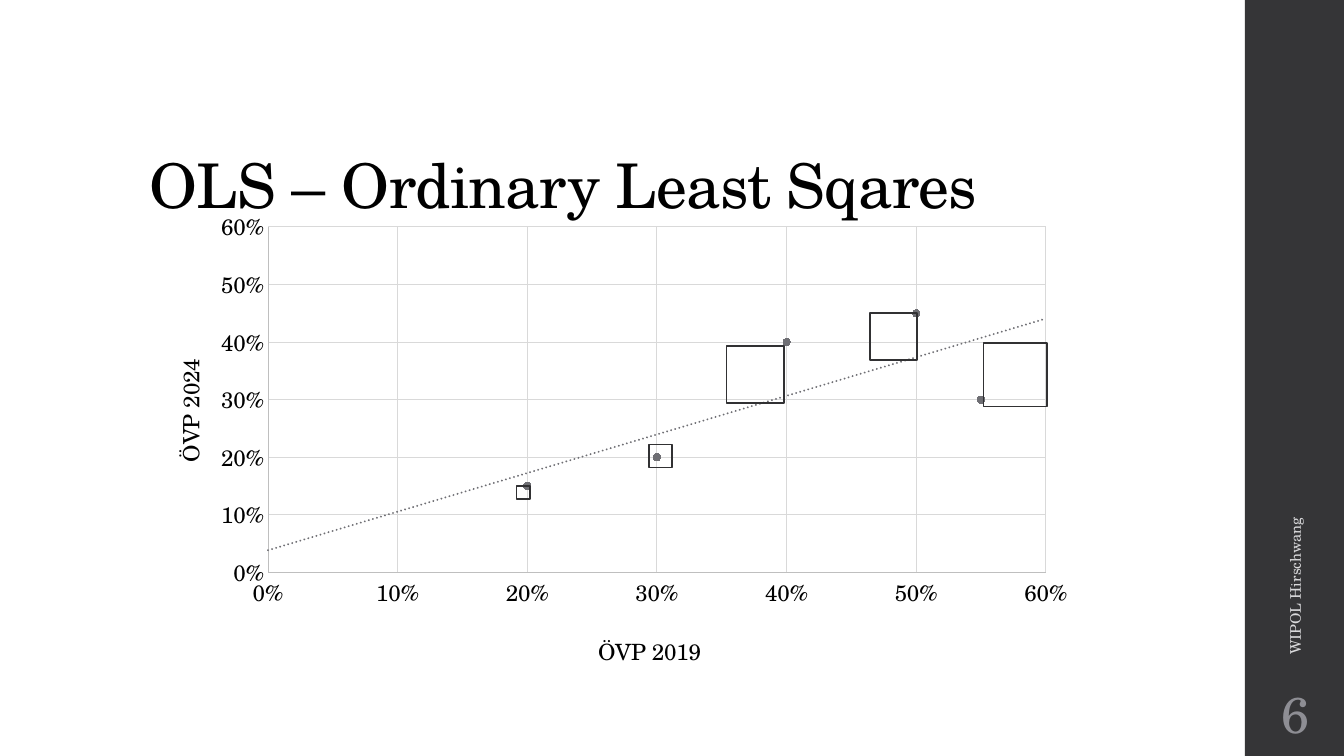
from dataclasses import dataclass

import lxml.etree
import pptx
import pptx.chart.data
import pptx.dml.color
import pptx.enum.chart
import pptx.enum.shapes
import pptx.enum.text
import pptx.oxml.ns
import pptx.util

Pt = pptx.util.Pt
qn = pptx.oxml.ns.qn
FONT = "TeX Gyre Schola"
GRAY = "6F6F74"


@dataclass
class Square:
    left: float
    top: float
    side: float


@dataclass
class Label:
    text: str
    left: float
    top: float
    width: float
    height: float
    size: float
    color: str
    align: str = "LEFT"
    anchor: str = "MIDDLE"
    rotation: float = 0
    line_spacing: float = 1.0
    tracking: int = 0  # hundredths of a point


@dataclass
class AxisStyle:
    title: str
    title_x: float
    title_y: float


RESULTS = [(0.3, 0.2), (0.5, 0.45), (0.2, 0.15), (0.55, 0.3), (0.4, 0.4)]
AXIS_END = 0.6
X_AXIS = AxisStyle("ÖVP 2019", 0.48, 0.89)
Y_AXIS = AxisStyle("ÖVP 2024", 0.03, 0.32)
SQUARES = [
    Square(369, 347, 9.5),
    Square(463.5, 317.5, 16.5),
    Square(519, 247, 41),
    Square(621.5, 223.5, 33.5),
    Square(702.5, 245, 45.5),
]
LABELS = [
    Label("OLS – Ordinary Least Sqares", 99.4, 28.8, 763.2, 133.2, 44, "000000",
          anchor="BOTTOM", line_spacing=0.9, tracking=-50),
    Label("WIPOL Hirschwang", 784, 319, 282.2, 28.8, 10.5, "D9D9DB", rotation=270),
    Label("6", 889.2, 486, 72, 46.8, 36, "8E8E94", align="CENTER"),
]


def rgb(color: str) -> pptx.dml.color.RGBColor:
    return pptx.dml.color.RGBColor.from_string(color)


def set_font(font, size: float, color: str) -> None:
    font.name = FONT
    font.size = Pt(size)
    font.bold = False
    font.color.rgb = rgb(color)


def set_line(line, color: str, width: float) -> None:
    line.color.rgb = rgb(color)
    line.width = Pt(width)


def add_rectangle(page, left: float, top: float, width: float, height: float):
    shape = page.shapes.add_shape(
        pptx.enum.shapes.MSO_SHAPE.RECTANGLE, Pt(left), Pt(top), Pt(width), Pt(height))
    shape.shadow.inherit = False
    return shape


def add_sidebar(page) -> None:
    sidebar = add_rectangle(page, 889.2, 0, 70.8, 540)
    sidebar.fill.solid()
    sidebar.fill.fore_color.rgb = rgb("353537")
    sidebar.line.fill.background()


def add_square(page, square: Square) -> None:
    shape = add_rectangle(page, square.left, square.top, square.side, square.side)
    shape.fill.background()
    set_line(shape.line, "313133", 1.1)


def add_label(page, label: Label) -> None:
    box = page.shapes.add_textbox(
        Pt(label.left), Pt(label.top), Pt(label.width), Pt(label.height))
    box.rotation = label.rotation
    frame = box.text_frame
    frame.word_wrap = True
    frame.vertical_anchor = getattr(pptx.enum.text.MSO_ANCHOR, label.anchor)
    para = frame.paragraphs[0]
    para.alignment = getattr(pptx.enum.text.PP_ALIGN, label.align)
    para.line_spacing = label.line_spacing
    set_font(para.font, label.size, label.color)
    span = para.add_run()
    span.text = label.text
    if label.tracking:
        span.font._element.set("spc", str(label.tracking))


def add_child(parent, tag: str, **attributes: str):
    child = lxml.etree.SubElement(parent, qn(tag))
    for name, value in attributes.items():
        child.set(name, value)
    return child


def place(element, index: int, **fractions: float) -> None:
    """Give a chart part a manual layout in fractions of the chart."""
    for old in element.findall(qn("c:layout")):
        element.remove(old)
    layout = element.makeelement(qn("c:layout"))
    element.insert(index, layout)
    manual = add_child(layout, "c:manualLayout")
    if "w" in fractions:
        add_child(manual, "c:layoutTarget", val="inner")
    add_child(manual, "c:xMode", val="edge")
    add_child(manual, "c:yMode", val="edge")
    for name, value in fractions.items():
        add_child(manual, f"c:{name}", val=str(value))


def style_axis(axis, style: AxisStyle) -> None:
    axis.minimum_scale = 0
    axis.maximum_scale = AXIS_END
    axis.major_unit = 0.1
    axis.major_tick_mark = pptx.enum.chart.XL_TICK_MARK.NONE
    axis.minor_tick_mark = pptx.enum.chart.XL_TICK_MARK.NONE
    axis.has_major_gridlines = True
    set_line(axis.major_gridlines.format.line, "D9D9D9", 0.75)
    set_line(axis.format.line, "BFBFBF", 0.75)
    axis.tick_labels.number_format = "0%"
    axis.tick_labels.number_format_is_linked = False
    set_font(axis.tick_labels.font, 16, "000000")
    para = axis.axis_title.text_frame.paragraphs[0]
    para.text = style.title
    set_font(para.font, 16, "000000")
    place(axis.axis_title._element, 1, x=style.title_x, y=style.title_y)


def add_trend(series) -> None:
    """Add a dotted linear trend line that spans the whole horizontal axis."""
    years = [x for x, _ in RESULTS]
    trend = series._element.makeelement(qn("c:trendline"))
    line = add_child(add_child(trend, "c:spPr"), "a:ln", w=str(Pt(1.5)), cap="rnd")
    add_child(add_child(line, "a:solidFill"), "a:srgbClr", val=GRAY)
    add_child(line, "a:prstDash", val="sysDot")
    add_child(trend, "c:trendlineType", val="linear")
    add_child(trend, "c:forward", val=str(round(AXIS_END - max(years), 2)))
    add_child(trend, "c:backward", val=str(min(years)))
    add_child(trend, "c:dispRSqr", val="0")
    add_child(trend, "c:dispEq", val="0")
    series._element.find(qn("c:xVal")).addprevious(trend)


def add_scatter(page) -> None:
    data = pptx.chart.data.XyChartData(number_format="0%")
    points = data.add_series("Series 1")
    for x, y in RESULTS:
        points.add_data_point(x, y)
    chart = page.shapes.add_chart(
        pptx.enum.chart.XL_CHART_TYPE.XY_SCATTER,
        Pt(99.4), Pt(144), Pt(676.8), Pt(342.7), data).chart
    chart.has_legend = False
    chart.has_title = False
    set_font(chart.font, 16, "000000")
    plot = chart.plots[0]
    plot.vary_by_categories = False
    style_axis(chart.category_axis, X_AXIS)
    style_axis(chart.value_axis, Y_AXIS)
    place(plot._element.getparent(), 0, x=0.136, y=0.053, w=0.821, h=0.72)
    series = plot.series[0]
    series.smooth = False
    series.format.line.fill.background()
    marker = series.marker
    marker.style = pptx.enum.chart.XL_MARKER_STYLE.CIRCLE
    marker.size = 5
    marker.format.fill.solid()
    marker.format.fill.fore_color.rgb = rgb(GRAY)
    set_line(marker.format.line, GRAY, 0.75)
    add_trend(series)


def main() -> None:
    deck = pptx.Presentation()
    deck.slide_width, deck.slide_height = Pt(960), Pt(540)
    page = deck.slides.add_slide(deck.slide_layouts[6])
    add_sidebar(page)
    add_scatter(page)
    for square in SQUARES:
        add_square(page, square)
    for label in LABELS:
        add_label(page, label)
    deck.save("out.pptx")


if __name__ == "__main__":
    main()
